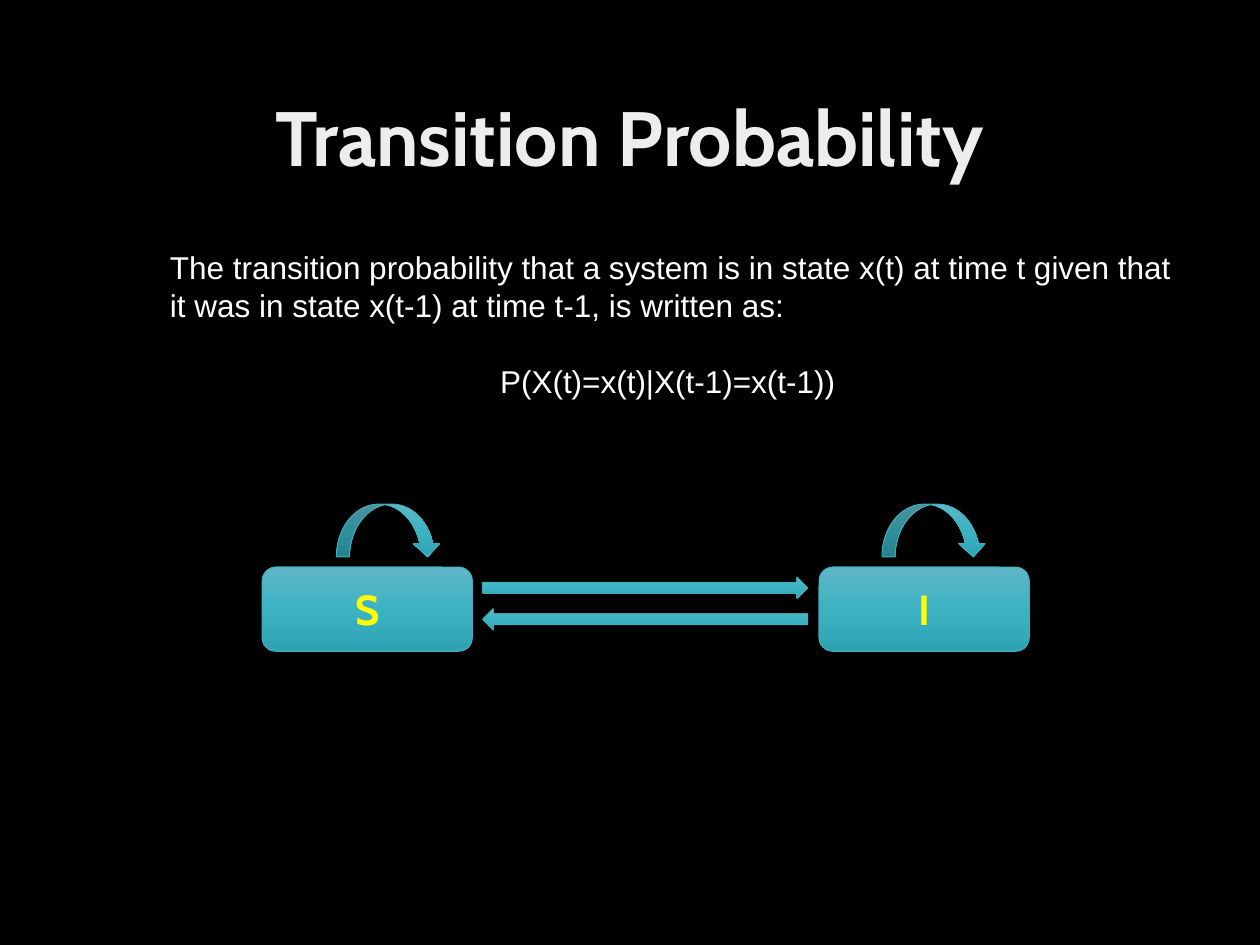
import copy

import pptx
import pptx.dml.color
import pptx.enum.shapes
import pptx.enum.text
import pptx.oxml.ns
import pptx.util

Inches = pptx.util.Inches
Pt = pptx.util.Pt
RGBColor = pptx.dml.color.RGBColor
Shape = pptx.enum.shapes.MSO_SHAPE
Align = pptx.enum.text.PP_ALIGN
Anchor = pptx.enum.text.MSO_ANCHOR

BLACK = RGBColor(0x00, 0x00, 0x00)
WHITE = RGBColor(0xFF, 0xFF, 0xFF)
TITLE_GRAY = RGBColor(0xED, 0xED, 0xED)
YELLOW = RGBColor(0xFF, 0xFF, 0x00)
TEAL_LINE = RGBColor(0x41, 0xAE, 0xBD)
TEAL_STOPS = (
    (0, RGBColor(0x5F, 0xB7, 0xC5)),
    (0.5, RGBColor(0x3B, 0xB3, 0xC3)),
    (1, RGBColor(0x2F, 0xA3, 0xB3)),
)


def style_paragraph(paragraph, text, font_name, size, color, bold=False, alignment=Align.CENTER):
    paragraph.text = text
    paragraph.alignment = alignment
    font = paragraph.font
    font.name = font_name
    font.size = Pt(size)
    font.bold = bold
    font.color.rgb = color


def add_text_box(slide, left, top, width, height):
    text_box = slide.shapes.add_textbox(Inches(left), Inches(top), Inches(width), Inches(height))
    text_box.text_frame.word_wrap = True
    return text_box.text_frame


def add_teal_shape(slide, preset, left, top, width, height):
    shape = slide.shapes.add_shape(preset, Inches(left), Inches(top), Inches(width), Inches(height))
    shape.shadow.inherit = False
    shape.fill.gradient()
    shape.fill.gradient_angle = 270
    stop_list = shape._element.spPr.find(".//" + pptx.oxml.ns.qn("a:gsLst"))
    stop_list.insert(1, copy.deepcopy(stop_list[0]))
    for stop, (position, color) in zip(shape.fill.gradient_stops, TEAL_STOPS):
        stop.position = position
        stop.color.rgb = color
    shape.line.color.rgb = TEAL_LINE
    shape.line.width = Pt(0.5)
    return shape


def add_title(slide, left, top, width, height):
    text_frame = add_text_box(slide, left, top, width, height)
    text_frame.vertical_anchor = Anchor.MIDDLE
    paragraph = text_frame.paragraphs[0]
    style_paragraph(paragraph, "Transition Probability", "Cabin", 44, TITLE_GRAY, bold=True)
    paragraph.line_spacing = 0.9


def add_definition(slide, left, top, width, height):
    text_frame = add_text_box(slide, left, top, width, height)
    style_paragraph(
        text_frame.paragraphs[0],
        "The transition probability that a system is in state x(t) at time t given that "
        "it was in state x(t-1) at time t-1, is written as:",
        "Arial", 18, WHITE, alignment=Align.LEFT,
    )
    formula = text_frame.add_paragraph()
    style_paragraph(formula, "P(X(t)=x(t)|X(t-1)=x(t-1)) ", "Arial", 18, WHITE)
    formula.space_before = Pt(22)


def add_state(slide, label, left, top, loop_offset):
    add_teal_shape(slide, Shape.CURVED_DOWN_ARROW, left + loop_offset, top, 0.83, 0.42)
    box = add_teal_shape(slide, Shape.ROUNDED_RECTANGLE, left, top + 0.5, 1.67, 0.67)
    box.text_frame.vertical_anchor = Anchor.MIDDLE
    style_paragraph(box.text_frame.paragraphs[0], label, "Cabin", 24, YELLOW, bold=True)


def add_state_diagram(slide, left, top):
    add_state(slide, "S", left, top, 0.59)
    add_state(slide, "I", left + 4.42, top, 0.5)
    for row, preset in enumerate((Shape.RIGHT_ARROW, Shape.LEFT_ARROW)):
        add_teal_shape(slide, preset, left + 1.75, top + 0.58 + row * 0.25, 2.58, 0.17)


def main():
    presentation = pptx.Presentation()
    presentation.slide_width = Inches(10)
    presentation.slide_height = Inches(7.5)
    slide = presentation.slides.add_slide(presentation.slide_layouts[6])
    slide.background.fill.solid()
    slide.background.fill.fore_color.rgb = BLACK
    add_title(slide, 0.69, 0.4, 8.62, 1.45)
    add_definition(slide, 1.25, 1.92, 8.17, 1.31)
    add_state_diagram(slide, 2.08, 4)
    presentation.save("out.pptx")


if __name__ == "__main__":
    main()
